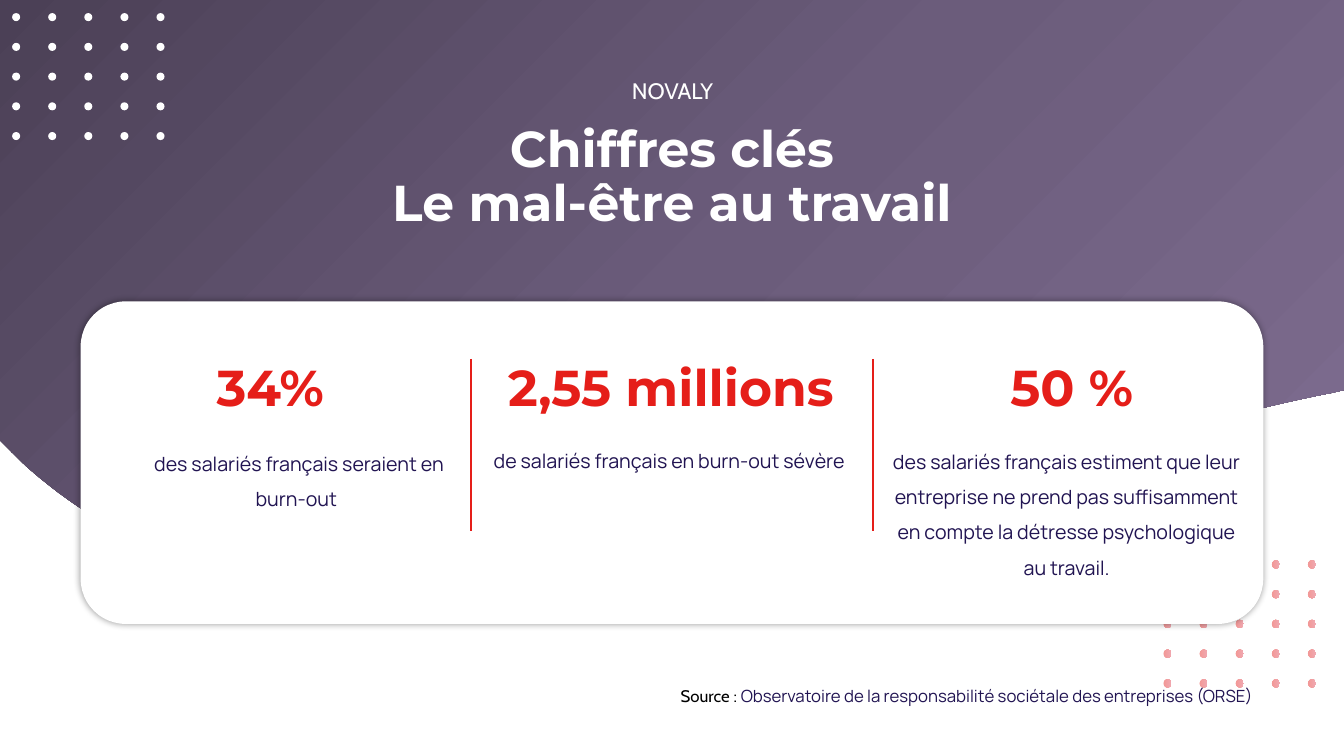
from lxml import etree
from pptx import Presentation, util as u
from pptx.dml.color import RGBColor
from pptx.enum import shapes, text
from pptx.oxml import ns

COLORS = {"white": "FFFFFF", "black": "000000", "red": "E51E19", "pink": "DF4557",
          "navy": "211452", "plum_dark": "4B4056", "plum": "6B5C7B", "plum_light": "7F6D91"}
STATS = [
    {"figure": "34%", "figure_w": 1.97, "box": (0.49, 1.34, 3.3, 0.77),
     "caption": [(" ", 14, "TeX Gyre Adventor", "black", False),
                 ("des salariés français seraient en burn-out", 14, "Manrope", "navy", False)]},
    {"figure": "2,55 millions", "figure_w": 3.76, "box": (3.96, 1.32, 3.76, 0.41),
     "caption": [("de salariés français en burn-out sévère", 14, "Manrope", "navy", False)]},
    {"figure": "50 %", "figure_w": 1.97, "box": (7.9, 1.32, 3.76, 1.47),
     "caption": [("des salariés français estiment que leur entreprise ne prend pas suffisamment "
                  "en compte la détresse psychologique au travail.",
                  14, "Manrope", "navy", False)]},
]


def rgb(name):
    """Return the palette colour as an RGBColor."""
    return RGBColor.from_string(COLORS[name])


def box_inches(*values):
    """Convert a box or point to lengths in inches."""
    return [u.Inches(v) for v in values]


def add_xml(parent, tag, **attrs):
    """Append a drawing element with attributes and return it."""
    return etree.SubElement(parent, ns.qn(tag), {k: str(v) for k, v in attrs.items()})


def set_gradient(sp, stops, angle):
    """Fill a shape with (position, colour, opacity) stops in percent."""
    sp.fill.gradient()
    grad = sp._element.spPr.find(ns.qn("a:gradFill"))
    for child in list(grad):
        grad.remove(child)
    gs_list = add_xml(grad, "a:gsLst")
    for pos, name, alpha in stops:
        clr = add_xml(add_xml(gs_list, "a:gs", pos=pos * 1000), "a:srgbClr", val=COLORS[name])
        add_xml(clr, "a:alpha", val=alpha * 1000)
    add_xml(grad, "a:lin", ang=angle * 60000, scaled=0)


def add_text(s, box, runs, align, spacing=1.0, anchor=text.MSO_ANCHOR.MIDDLE, grow=True):
    """Add a one-paragraph text box from (text, size, font, colour, bold) runs."""
    sp = s.shapes.add_textbox(*box_inches(*box))
    tf = sp.text_frame
    tf.word_wrap = True
    tf.auto_size = text.MSO_AUTO_SIZE.SHAPE_TO_FIT_TEXT if grow else text.MSO_AUTO_SIZE.NONE
    tf.vertical_anchor = anchor
    p = tf.paragraphs[0]
    p.alignment = align
    p.line_spacing = spacing
    for words, size, font, color, bold in runs:
        for i, line in enumerate(words.split("\n")):
            if i:
                p.add_line_break()
            r = p.add_run()
            r.text = line
            r.font.size = u.Pt(size)
            r.font.name = font
            r.font.bold = bold
            r.font.color.rgb = rgb(color)


def add_dots(s, left, top, row_starts, paint):
    """Add a grid of dots five columns wide, each row beginning at its start column."""
    group = s.shapes.add_group_shape()
    for row, start in enumerate(row_starts):
        for col in range(start, 5):
            sp = group.shapes.add_shape(
                shapes.MSO_SHAPE.OVAL,
                *box_inches(left + col * 0.358, top + row * 0.295, 0.08, 0.08))
            sp.shadow.inherit = False
            sp.line.fill.background()
            paint(sp)


def paint_white(sp):
    """Fill a dot with white."""
    sp.fill.solid()
    sp.fill.fore_color.rgb = rgb("white")


def paint_red(sp):
    """Fill a dot with a translucent red gradient."""
    set_gradient(sp, [(0, "red", 45), (100, "pink", 45)], 0)


def add_wave(s, width, height):
    """Add the purple header with its wavy lower edge."""
    curves = [((0.18, 4.55), (0.24, 4.61), (0.31, 4.67)),
              ((1.8, 5.96), (3.93, 6.21), (5.87, 5.93)),
              ((7.81, 5.66), (9.64, 4.89), (11.51, 4.32)),
              ((12.06, 4.16), (12.63, 4.01), (13.2, 3.9))]
    corners = [(0, 0), (0, 4.37), (0.12, 4.49)]
    points = corners + [curve[-1] for curve in curves] + [(width, 3.87)]
    builder = s.shapes.build_freeform(u.Inches(width), 0)
    builder.add_line_segments([box_inches(*pt) for pt in points], close=True)
    sp = builder.convert_to_shape()
    outline = next(sp._element.iter(ns.qn("a:path")))
    segments = outline.findall(ns.qn("a:lnTo"))[len(corners):]
    for segment, curve in zip(segments, curves):
        bezier = etree.Element(ns.qn("a:cubicBezTo"))
        for x, y in curve:
            add_xml(bezier, "a:pt", x=u.Inches(x), y=u.Inches(y))
        outline.replace(segment, bezier)
    sp.height = u.Inches(height)
    outline.set("h", str(u.Inches(height)))
    sp.shadow.inherit = False
    sp.line.fill.background()
    set_gradient(sp, [(0, "plum_dark", 100), (50, "plum", 100), (100, "plum_light", 100)], 45)


def add_divider(s, x, top, bottom):
    """Add a thin red vertical rule."""
    line = s.shapes.add_connector(shapes.MSO_CONNECTOR.STRAIGHT, *box_inches(x, top, x, bottom))
    line.line.color.rgb = rgb("red")
    line.line.width = u.Pt(1)
    add_xml(line._element.spPr, "a:effectLst")


def add_card(s, left, top, width, height):
    """Add the white card with its three key figures."""
    sp = s.shapes.add_shape(shapes.MSO_SHAPE.ROUNDED_RECTANGLE,
                            *box_inches(left, top, width, height))
    sp.adjustments[0] = 0.14
    sp.fill.solid()
    sp.fill.fore_color.rgb = rgb("white")
    sp.line.fill.background()
    sp.shadow.inherit = False
    effects = sp._element.spPr.find(ns.qn("a:effectLst"))
    shadow = add_xml(effects, "a:outerShdw", blurRad=u.Pt(5), dist=0, dir=0,
                     algn="ctr", rotWithShape=0)
    add_xml(add_xml(shadow, "a:srgbClr", val=COLORS["black"]), "a:alpha", val=40000)
    center = text.PP_ALIGN.CENTER
    for i, stat in enumerate(STATS):
        x, y, w, h = stat["box"]
        figure_w = stat["figure_w"]
        figure_left = left + 1.88 + i * 3.975 - figure_w / 2
        add_text(s, (figure_left, top + 0.49, figure_w, 0.71),
                 [(stat["figure"], 36, "Montserrat", "red", True)], center,
                 anchor=text.MSO_ANCHOR.TOP)
        add_text(s, (left + x, top + y, w, h), stat["caption"], center, 1.5)
    for x in (3.87, 7.86):
        add_divider(s, left + x, top + 0.57, top + 2.28)


def add_header(s, left, top, width):
    """Add the centred overline and the two-line title."""
    center = text.PP_ALIGN.CENTER
    add_text(s, (left, top + 0.44, width, 1.25),
             [("Chiffres clés\nLe mal-être au travail", 36, "Montserrat", "white", True)],
             center, 0.9, grow=False)
    add_text(s, (left + 3.62, top, 6.1, 0.44),
             [("NOVALY", 16, "Cabin", "white", False)], center, 0.9, grow=False)


def add_source(s, left, top, width, height):
    """Add the right-aligned source line."""
    add_text(s, (left, top, width, height),
             [("Source : ", 12, "Cabin", "black", False),
              ("Observatoire de la responsabilité sociétale des entreprises (ORSE)",
               12, "Manrope", "navy", False)], text.PP_ALIGN.RIGHT, 1.5)


def main():
    """Build the key figures slide and save it."""
    prs = Presentation()
    prs.slide_width, prs.slide_height = box_inches(13.33, 7.5)
    s = prs.slides.add_slide(prs.slide_layouts[6])
    add_dots(s, 11.54, 5.56, [3, 3, 0, 0, 0], paint_red)
    add_wave(s, 13.33, 6.03)
    add_card(s, 0.8, 2.99, 11.73, 3.2)
    add_header(s, 0, 0.7, 13.33)
    add_dots(s, 0.12, 0.13, [0] * 5, paint_white)
    add_source(s, 6.31, 6.67, 6.22, 0.37)
    prs.save("out.pptx")


if __name__ == "__main__":
    main()
